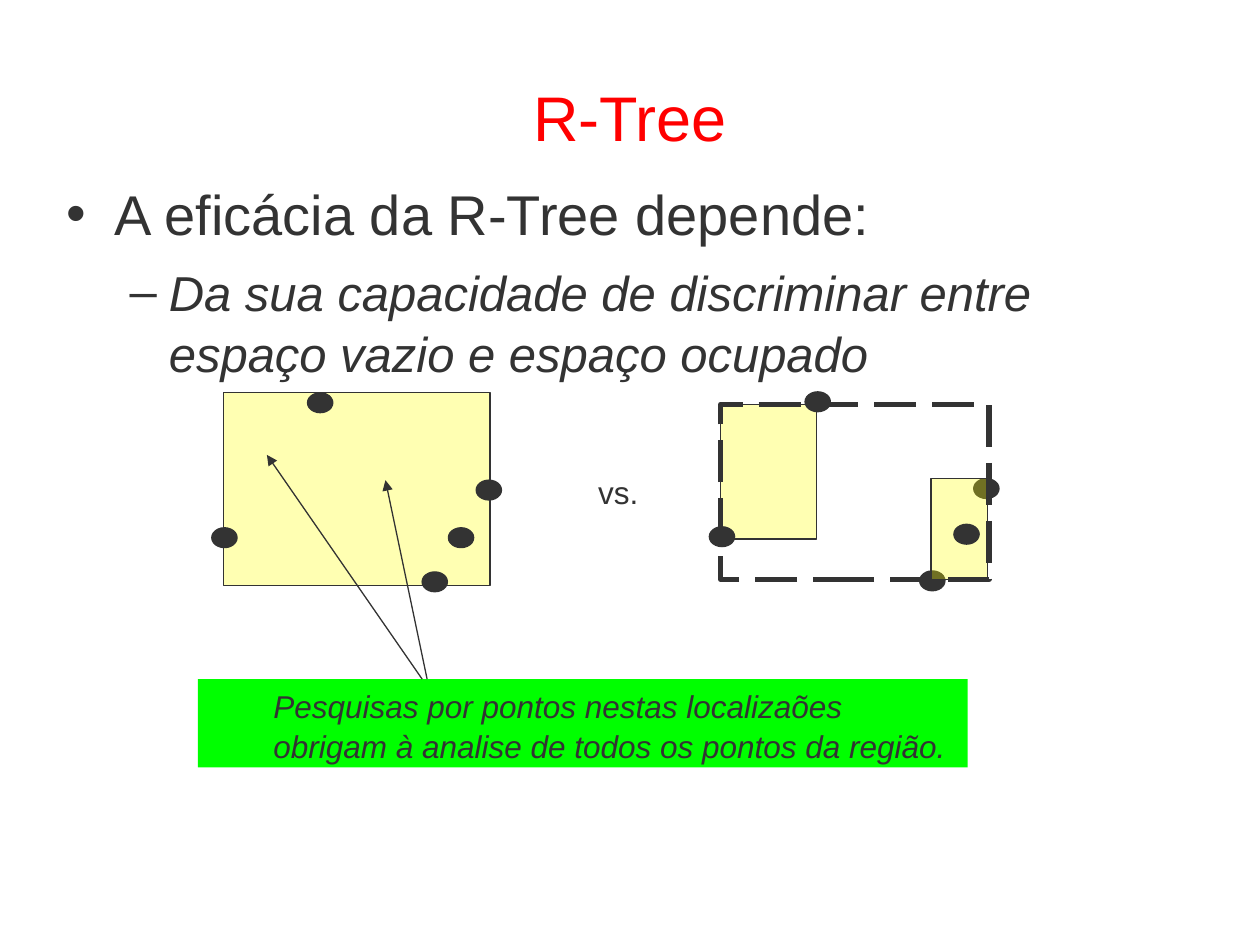
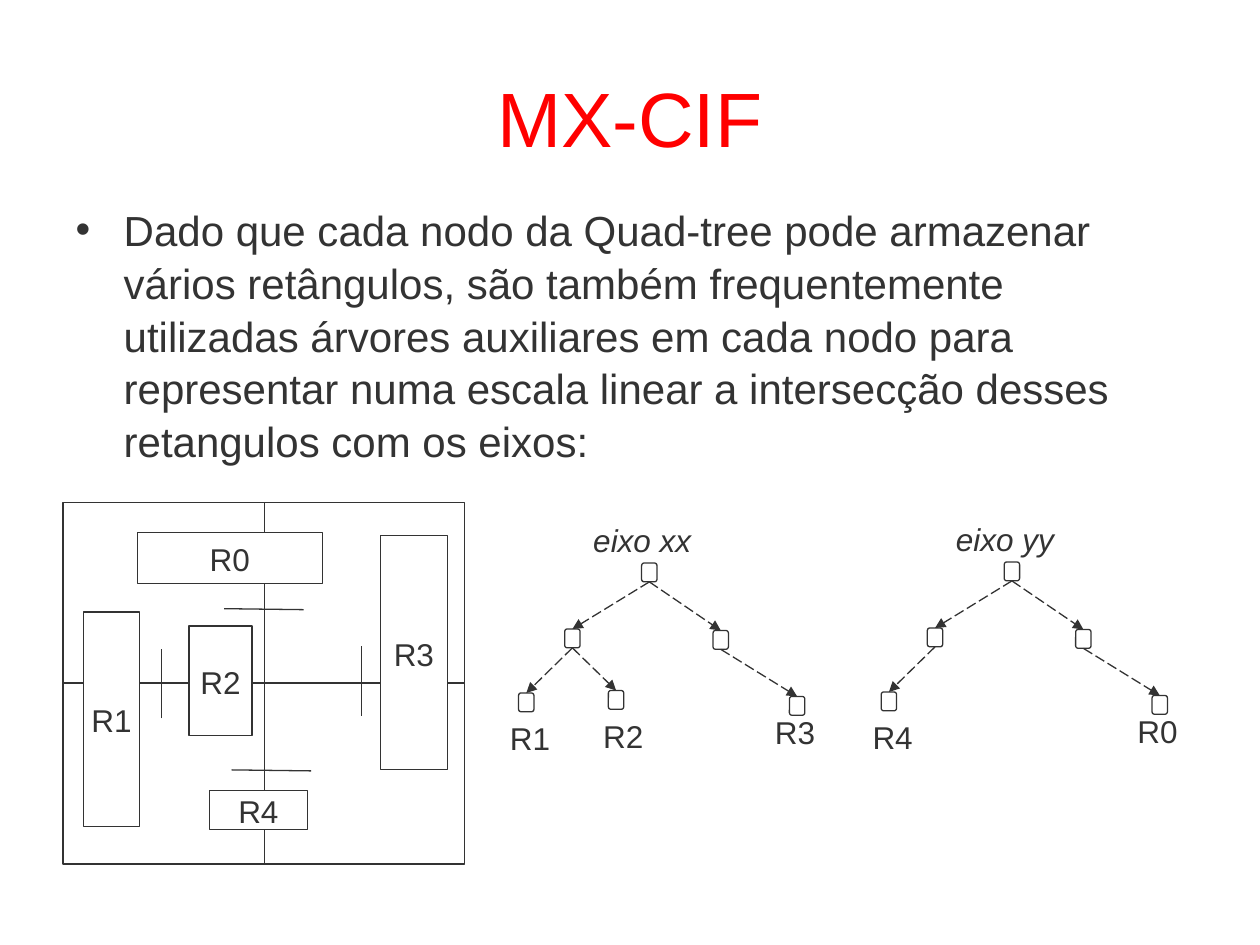
from dataclasses import dataclass

from lxml import etree
from pptx import Presentation
from pptx.dml.color import RGBColor
from pptx.enum.dml import MSO_LINE
from pptx.enum.shapes import MSO_CONNECTOR, MSO_SHAPE
from pptx.enum.text import MSO_ANCHOR, MSO_AUTO_SIZE, PP_ALIGN
from pptx.oxml.ns import qn
from pptx.util import Cm, Pt

RECTANGLE = MSO_SHAPE.RECTANGLE
ELLIPSE = MSO_SHAPE.OVAL
ROUNDED = MSO_SHAPE.ROUNDED_RECTANGLE
LONG_DASH = MSO_LINE.LONG_DASH
STRAIGHT = MSO_CONNECTOR.STRAIGHT
TOP, MIDDLE = MSO_ANCHOR.TOP, MSO_ANCHOR.MIDDLE
LEFT, CENTER = PP_ALIGN.LEFT, PP_ALIGN.CENTER


@dataclass(frozen=True)
class Theme:
    font: str = "Arial"
    ink: RGBColor = RGBColor(0x33, 0x33, 0x33)
    title: RGBColor = RGBColor(0xFF, 0x00, 0x00)
    region: RGBColor = RGBColor(0xFF, 0xFF, 0x00)
    note: RGBColor = RGBColor(0x00, 0xFF, 0x00)
    paper: RGBColor = RGBColor(0xFF, 0xFF, 0xFF)
    region_alpha: str = "30000"
    label_size: float = 18
    thin: float = 0.75
    thick: float = 3
    line_spacing: float = 1.05


theme = Theme()


def add_box(slide, kind, at, fill=None, width=theme.thin, text="", italic=False,
            align=LEFT, anchor=TOP, wrap=False):
    position = [Cm(value) for value in at]
    if kind is None:
        shape = slide.shapes.add_textbox(*position)
    else:
        shape = slide.shapes.add_shape(kind, *position)
        shape.shadow.inherit = False
        if fill is None:
            shape.fill.background()
        else:
            shape.fill.solid()
            shape.fill.fore_color.rgb = fill
        if width:
            shape.line.color.rgb = theme.ink
            shape.line.width = Pt(width)
        else:
            shape.line.fill.background()
    if text:
        frame = shape.text_frame
        frame.text = text
        frame.word_wrap = wrap
        frame.vertical_anchor = anchor
        paragraph = frame.paragraphs[0]
        paragraph.alignment = align
        paragraph.line_spacing = theme.line_spacing
        paragraph.font.name = theme.font
        paragraph.font.size = Pt(theme.label_size)
        paragraph.font.italic = italic
        paragraph.font.color.rgb = theme.ink
    return shape


def add_line(slide, start, end, arrow=False, dash=None):
    connector = slide.shapes.add_connector(STRAIGHT, *[Cm(value) for value in (*start, *end)])
    connector.line.color.rgb = theme.ink
    connector.line.width = Pt(theme.thin)
    if dash:
        connector.line.dash_style = dash
    if arrow:
        etree.SubElement(connector.line._get_or_add_ln(), qn("a:tailEnd"), type="triangle")
    etree.SubElement(connector._element.spPr, qn("a:effectLst"))


presentation = Presentation()
presentation.slide_width = Cm(25.4)
presentation.slide_height = Cm(19.05)

list_levels = [("•", 0.97, -0.97), ("–", 2.06, -0.79)]
contents = [
    ("R-Tree", 36, (1.09, 3.43, 22.86, 8.99), [
        ("A eficácia da R-Tree depende:", 0, 32, 0),
        ("Da sua capacidade de discriminar entre espaço vazio e espaço ocupado", 1, 28, 7),
    ]),
    ("MX-CIF", 44, (1.27, 3.94, 22.86, 10.29), [
        ("Dado que cada nodo da Quad-tree pode armazenar vários retângulos, são também "
         "frequentemente utilizadas árvores auxiliares em cada nodo para representar numa "
         "escala linear a intersecção desses retangulos com os eixos:", 0, 24, 0),
    ]),
]

slides = []
for title_text, title_size, body_at, items in contents:
    slide = presentation.slides.add_slide(presentation.slide_layouts[1])
    slides.append(slide)
    title, body = slide.placeholders
    for placeholder, at in ((title, (1.27, 0.76, 22.86, 3.18)), (body, body_at)):
        placeholder.left, placeholder.top, placeholder.width, placeholder.height = map(Cm, at)
        placeholder.text_frame.auto_size = MSO_AUTO_SIZE.NONE
    title.text_frame.text = title_text
    title.text_frame.vertical_anchor = MIDDLE
    paragraph = title.text_frame.paragraphs[0]
    paragraph.alignment = CENTER
    paragraph.font.name = theme.font
    paragraph.font.size = Pt(title_size)
    paragraph.font.color.rgb = theme.title

    body.text_frame.text = "\n".join(item[0] for item in items)
    for paragraph, (_, level, size, space) in zip(body.text_frame.paragraphs, items):
        bullet, margin, indent = list_levels[level]
        paragraph.level = level
        properties = paragraph._p.get_or_add_pPr()
        properties.set("marL", str(Cm(margin)))
        properties.set("indent", str(Cm(indent)))
        bullet_color = etree.SubElement(properties, qn("a:buClr"))
        etree.SubElement(bullet_color, qn("a:srgbClr"), val=str(theme.ink))
        etree.SubElement(properties, qn("a:buFont"), typeface=theme.font)
        etree.SubElement(properties, qn("a:buChar"), char=bullet)
        paragraph.space_before = Pt(space)
        paragraph.line_spacing = theme.line_spacing
        paragraph.font.name = theme.font
        paragraph.font.size = Pt(size)
        paragraph.font.italic = level == 1
        paragraph.font.color.rgb = theme.ink

rtree_slide, mxcif_slide = slides

regions_and_points = [
    ((4.5, 7.92, 5.38, 3.89), [(6.2, 7.92), (9.6, 9.68), (4.27, 10.64), (8.51, 11.53),
                               (9.04, 10.64)]),
    ((14.53, 8.15, 1.93, 2.72), [(16.23, 7.9), (19.63, 9.65), (14.3, 10.62), (18.54, 11.51)]),
    ((18.77, 9.65, 1.14, 2.03), [(19.23, 10.57)]),
]
for region_at, points in regions_and_points:
    region = add_box(rtree_slide, RECTANGLE, region_at, theme.region)
    region_color = region._element.spPr.find(qn("a:solidFill"))[0]
    etree.SubElement(region_color, qn("a:alpha"), val=theme.region_alpha)
    for point in points:
        add_box(rtree_slide, ELLIPSE, (*point, 0.51, 0.4), theme.ink)

add_box(rtree_slide, None, (11.81, 9.37, 1.32, 1.02), text="vs.")
bounds = add_box(rtree_slide, RECTANGLE, (14.53, 8.15, 5.41, 3.53), width=theme.thick)
bounds.line.dash_style = LONG_DASH
note = add_box(rtree_slide, RECTANGLE, (3.99, 13.69, 15.52, 1.78), theme.note, 0,
               "Pesquisas por pontos nestas localizaões obrigam à analise de todos os "
               "pontos da região.", italic=True, wrap=True)
note.text_frame.paragraphs[0]._p.get_or_add_pPr().set("marL", str(Cm(1.27)))
for start, end in [((8.51, 13.69), (5.38, 9.17)), ((8.61, 13.69), (7.77, 9.68))]:
    add_line(rtree_slide, start, end, arrow=True)

add_box(mxcif_slide, RECTANGLE, (1.27, 10.13, 8.1, 7.29))
axes = [((5.33, 10.13), (5.33, 17.42)), ((9.37, 13.77), (1.27, 13.77))]
ticks = [((6.12, 12.29), (4.52, 12.27)), ((6.27, 15.54), (4.67, 15.52)),
         ((7.29, 14.43), (7.29, 13.03)), ((3.25, 14.48), (3.25, 13.08))]
for start, end in axes + ticks:
    add_line(mxcif_slide, start, end)
rectangles = {
    "R0": (2.77, 10.74, 3.73, 1.02),
    "R4": (4.22, 15.93, 1.98, 0.79),
    "R1": (1.68, 12.34, 1.14, 4.32),
    "R2": (3.81, 12.62, 1.27, 2.21),
    "R3": (7.67, 10.8, 1.35, 4.72),
}
for name, at in rectangles.items():
    add_box(mxcif_slide, RECTANGLE, at, theme.paper, text=name, align=CENTER, anchor=MIDDLE)

node_width, node_height = 0.31, 0.38
node_offsets = {
    "root": (0, 0), "left": (-1.55, 1.33), "right": (1.44, 1.36),
    "far left": (-2.48, 2.62), "middle": (-0.67, 2.57), "far right": (2.98, 2.69),
}
parents = {"left": "root", "right": "root", "far left": "left", "middle": "left",
           "far right": "right"}
label_offsets = {"far left": (-3.06, 2.98), "middle": (-1.18, 2.95), "far right": (2.28, 2.86)}
trees = [
    ("eixo xx", (13.09, 11.35), {"far left": "R1", "middle": "R2", "far right": "R3"}),
    ("eixo yy", (20.4, 11.33), {"far left": "R4", "far right": "R0"}),
]
for axis_name, (root_x, root_y), leaves in trees:
    add_box(mxcif_slide, None, (root_x - 1.38, root_y - 1, 2.49, 1.02), text=axis_name, italic=True)
    nodes = {place: (root_x + x, root_y + y) for place, (x, y) in node_offsets.items()
             if place not in label_offsets or place in leaves}
    for place, (x, y) in nodes.items():
        add_box(mxcif_slide, ROUNDED, (x - node_width / 2, y, node_width, node_height), theme.paper)
        if place in parents:
            parent_x, parent_y = nodes[parents[place]]
            add_line(mxcif_slide, (parent_x, parent_y + node_height), (x, y), True, LONG_DASH)
    for place, name in leaves.items():
        x, y = label_offsets[place]
        add_box(mxcif_slide, None, (root_x + x, root_y + y, 1.32, 1.02), text=name)

presentation.save("out.pptx")
